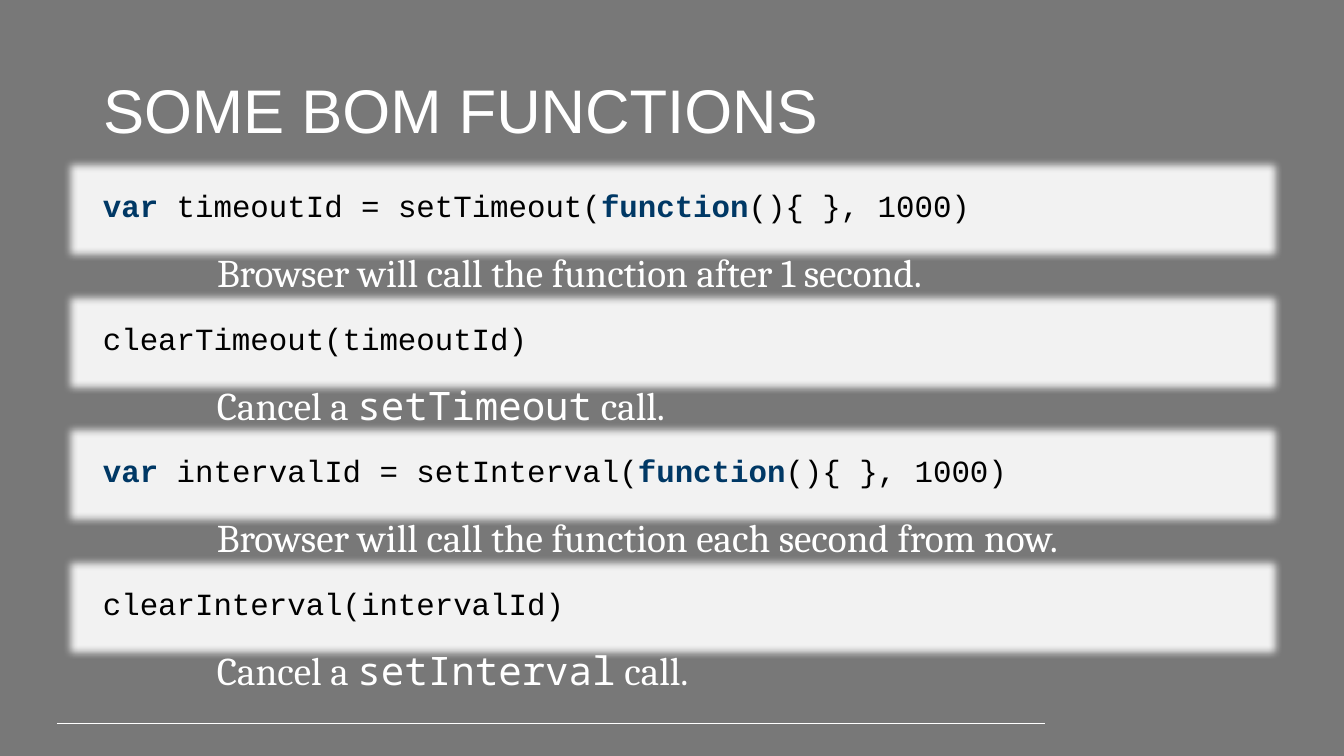
from dataclasses import dataclass

from lxml import etree
from pptx import Presentation
from pptx.dml.color import RGBColor
from pptx.enum.shapes import MSO_CONNECTOR, MSO_SHAPE
from pptx.enum.text import MSO_ANCHOR, MSO_AUTO_SIZE, PP_ALIGN
from pptx.oxml.ns import qn
from pptx.util import Pt

EMU_PER_PIXEL = 12192000 / 1344


@dataclass(frozen=True)
class Theme:
    """Colours, fonts and type sizes of the slide."""
    background: str = "787878"
    light: str = "FFFFFF"
    panel: str = "F2F2F2"
    code: str = "000000"
    keyword: str = "003865"
    title_font: str = "Arial"
    code_font: str = "Courier New"
    note_font: str = "Cambria"
    inline_font: str = "Noto Sans Mono"
    title_size: int = 44
    code_size: int = 22
    note_size: int = 28
    glow_radius: int = 15


THEME = Theme()
KEYWORDS = ("var", "function")
FUNCTIONS = [
    (["var", " timeoutId = setTimeout(", "function", "(){ }, 1000)"],
     ["Browser will call the function after 1 second."]),
    (["clearTimeout(timeoutId)"],
     ["Cancel a ", "setTimeout", " call."]),
    (["var", " intervalId = setInterval(", "function", "(){ }, 1000)"],
     ["Browser will call the function each second from now."]),
    (["clearInterval(intervalId)"],
     ["Cancel a ", "setInterval", " call."]),
]


def px(pixels):
    """Turn pixels into EMU."""
    return round(pixels * EMU_PER_PIXEL)


def place(shape, left, top, width, height):
    """Set the position and size of a shape in pixels."""
    shape.left, shape.top = px(left), px(top)
    shape.width, shape.height = px(width), px(height)


def write(shape, runs, size, anchor=MSO_ANCHOR.TOP, before=10, fit=MSO_AUTO_SIZE.SHAPE_TO_FIT_TEXT):
    """Fill a shape with one left-aligned paragraph of (text, font, colour, bold) runs."""
    frame = shape.text_frame
    frame.word_wrap = True
    frame.auto_size = fit
    frame.vertical_anchor = anchor
    paragraph = frame.paragraphs[0]
    paragraph.alignment = PP_ALIGN.LEFT
    paragraph.line_spacing = 0.9
    paragraph.space_before = Pt(before)
    for text, font, colour, bold in runs:
        run = paragraph.add_run()
        run.text = text
        run.font.name = font
        run.font.size = Pt(size)
        run.font.bold = bold
        run.font.color.rgb = RGBColor.from_string(colour)


def remove_bullet(shape):
    """Take the bullet and hanging indent off the first paragraph."""
    properties = shape.text_frame.paragraphs[0]._p.get_or_add_pPr()
    properties.set("marL", "0")
    properties.set("indent", "0")
    etree.SubElement(properties, qn("a:buNone"))


def add_glow(shape, colour, radius):
    """Surround a shape with a glow."""
    effects = etree.SubElement(shape._element.spPr, qn("a:effectLst"))
    glow = etree.SubElement(effects, qn("a:glow"), rad=str(px(radius)))
    etree.SubElement(glow, qn("a:srgbClr"), val=colour)


def add_code_panel(slide, top, parts):
    """Add a glowing panel with one line of highlighted code."""
    panel = slide.shapes.add_shape(MSO_SHAPE.RECTANGLE, 0, 0, 0, 0)
    place(panel, 93, top, 1159, 45)
    panel.fill.solid()
    panel.fill.fore_color.rgb = RGBColor.from_string(THEME.panel)
    panel.line.fill.background()
    add_glow(panel, THEME.panel, THEME.glow_radius)
    runs = [(part, THEME.code_font, THEME.keyword if part in KEYWORDS else THEME.code, part in KEYWORDS)
            for part in parts]
    write(panel, runs, THEME.code_size)


def fill_note(note, top, parts):
    """Place and write an explanation whose every second part is inline code."""
    place(note, 207, top, 1044, 54)
    fonts = (THEME.note_font, THEME.inline_font)
    write(note, [(part, fonts[i % 2], THEME.light, False) for i, part in enumerate(parts)],
          THEME.note_size)


def add_rule(slide, left, right, y):
    """Add the thin horizontal line at the foot of the slide."""
    rule = slide.shapes.add_connector(MSO_CONNECTOR.STRAIGHT, px(left), px(y), px(right), px(y))
    rule.line.color.rgb = RGBColor.from_string(THEME.light)
    rule.line.width = Pt(0.75)
    etree.SubElement(rule._element.spPr, qn("a:effectLst"))


def main():
    """Build the slide and save it."""
    presentation = Presentation()
    presentation.slide_width, presentation.slide_height = px(1344), px(756)
    slide = presentation.slides.add_slide(presentation.slide_layouts[1])
    slide.background.fill.solid()
    slide.background.fill.fore_color.rgb = RGBColor.from_string(THEME.background)

    add_rule(slide, 57, 1045, 724)
    title = slide.shapes.title
    place(title, 93, 41, 1159, 146)
    write(title, [("SOME BOM FUNCTIONS", THEME.title_font, THEME.light, False)],
          THEME.title_size, MSO_ANCHOR.MIDDLE, 0, MSO_AUTO_SIZE.NONE)

    body = slide.placeholders[1]
    for row, (code, note) in enumerate(FUNCTIONS):
        top = 186 + round(132.6 * row)
        add_code_panel(slide, top, code)
        box = slide.shapes.add_textbox(0, 0, 0, 0) if row else body
        fill_note(box, top + 63, note)
    remove_bullet(body)

    presentation.save("out.pptx")


main()
